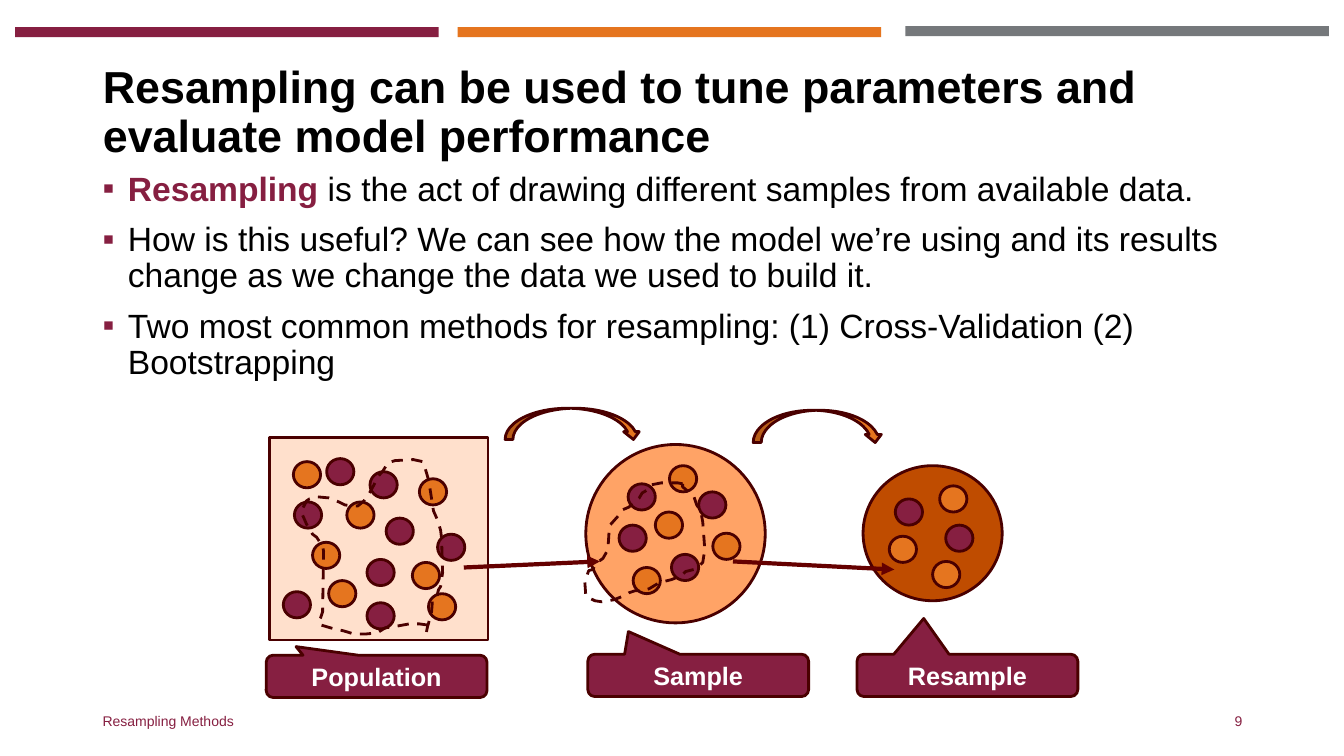
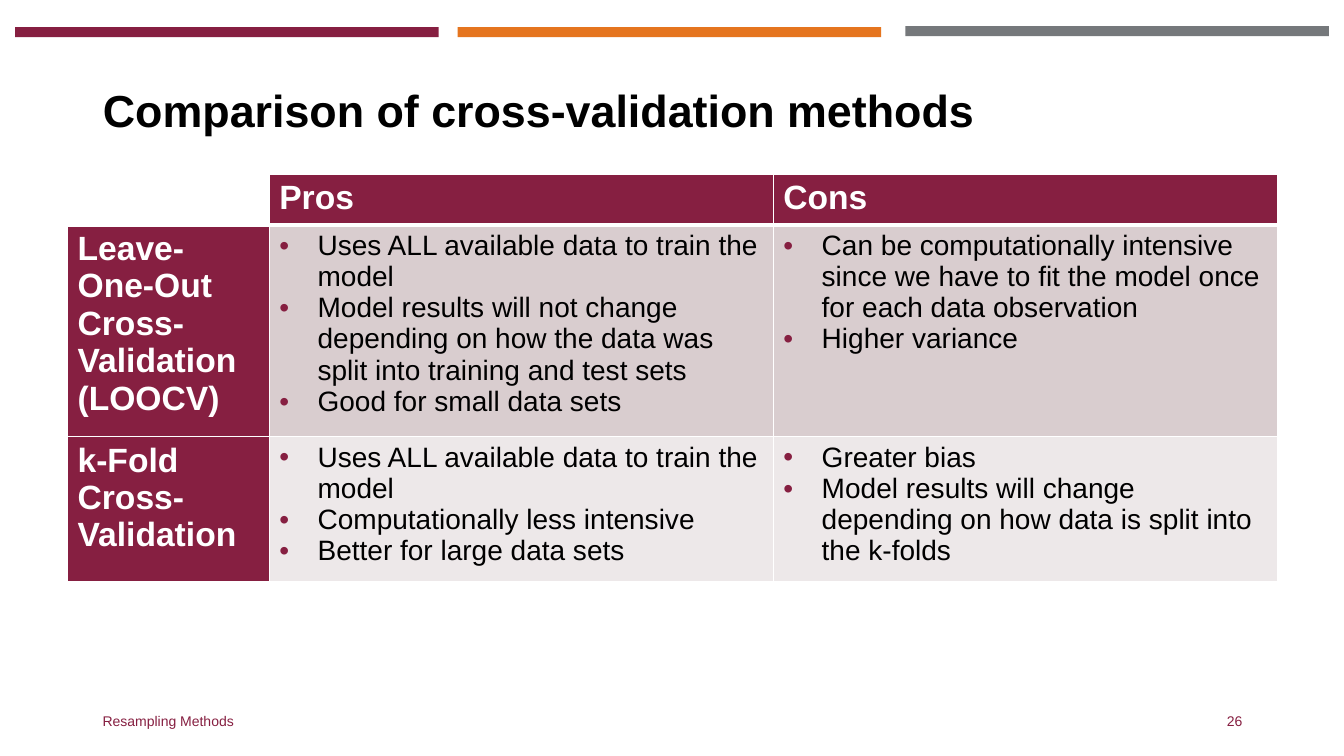
from lxml import etree
from pptx import Presentation
from pptx.dml.color import RGBColor
from pptx.enum.dml import MSO_LINE
from pptx.enum.shapes import MSO_CONNECTOR as CONNECTOR, MSO_SHAPE as SHAPE
from pptx.enum.text import MSO_ANCHOR as ANCHOR, MSO_AUTO_SIZE as AUTO_SIZE, PP_ALIGN as ALIGN
from pptx.oxml.ns import qn
from pptx.util import Inches, Pt

COLORS = {
    "maroon": "861F41", "orange": "E5751F", "gray": "75787B", "outline": "4A0000",
    "arrow": "650000", "peach": "FFE0CC", "apricot": "FFA366", "rust": "BF4C00",
    "band_dark": "D9CDCF", "band_light": "EDE8E9", "black": "000000", "white": "FFFFFF",
}
FONT = "Arial"
FOOTER = "Resampling Methods"
BANDS = [(0.15, 0.27, "maroon"), (4.54, 0.27, "orange"), (8.98, 0.26, "gray")]

# Resampling diagram: dot positions by colour, left and top
DOT_SIZE = (0.27, 0.26)
POPULATION_DOTS = {
    "maroon": [(3.24, 4.55), (3.83, 5.14), (4.34, 5.3), (3.64, 5.55), (3.67, 4.68),
               (2.92, 4.98), (3.64, 5.98), (2.81, 5.87)],
    "orange": [(3.1, 5.38), (4.09, 5.58), (3.44, 4.98), (4.16, 4.75), (2.91, 4.58),
               (3.26, 5.76), (4.25, 5.89)],
}
SAMPLE_DOTS = {
    "maroon": [(6.23, 4.8), (6.14, 5.21), (6.93, 4.88), (6.66, 5.5)],
    "orange": [(6.5, 5.08), (6.28, 5.63), (7.07, 5.29), (6.64, 4.62)],
}
RESAMPLE_DOTS = {
    "maroon": [(8.88, 4.95), (9.38, 5.21)],
    "orange": [(8.82, 5.32), (9.32, 4.82), (9.25, 5.57)],
}
STAGES = [
    (SHAPE.RECTANGLE, (2.67, 4.34, 2.17, 2.01), "peach", POPULATION_DOTS),
    (SHAPE.OVAL, (5.81, 4.41, 1.78, 1.77), "apricot", SAMPLE_DOTS),
    (SHAPE.OVAL, (8.56, 4.62, 1.38, 1.34), "rust", RESAMPLE_DOTS),
]
CALLOUTS = [
    ("Population", 2.64, 6.5, (-0.365, -0.703)),
    ("Sample", 5.83, 6.49, (-0.316, -1.036)),
    ("Resample", 8.5, 6.49, (-0.198, -1.344)),
]
# Dashed outlines of the points that are drawn
POPULATION_DRAW = [
    (4.23, 6.27), (4.24, 6.22), (4.26, 6.15), (4.28, 6.08), (4.29, 5.95), (4.33, 5.93),
    (4.35, 5.85), (4.37, 5.82), (4.39, 5.68), (4.38, 5.34), (4.37, 5.26), (4.34, 5.16),
    (4.3, 5.07), (4.29, 5.01), (4.27, 4.88), (4.25, 4.76), (4.23, 4.69), (4.21, 4.62),
    (4.19, 4.58), (4.1, 4.56), (3.92, 4.57), (3.85, 4.59), (3.8, 4.67), (3.74, 4.74),
    (3.71, 4.81), (3.66, 4.9), (3.61, 4.97), (3.55, 5.02), (3.49, 5.02), (3.42, 5.01),
    (3.36, 4.98), (3.26, 4.94), (3.15, 4.93), (3.07, 4.95), (3.04, 4.97), (3, 5.05),
    (2.99, 5.09), (3.01, 5.13), (3.04, 5.2), (3.1, 5.3), (3.14, 5.33), (3.2, 5.42),
    (3.21, 5.47), (3.2, 6.07), (3.18, 6.13), (3.16, 6.16), (3.18, 6.2), (3.28, 6.23),
    (3.41, 6.26), (3.51, 6.29), (3.63, 6.29), (3.74, 6.28), (3.82, 6.23), (3.95, 6.21),
    (4.06, 6.19), (4.16, 6.19), (4.23, 6.2),
]
SAMPLE_DRAW = [
    (6.77, 4.8), (6.72, 4.79), (6.56, 4.79), (6.46, 4.81), (6.44, 4.85), (6.37, 4.89),
    (6.34, 4.94), (6.28, 4.98), (6.24, 5.03), (6.17, 5.06), (6.13, 5.12), (6.05, 5.21),
    (6.04, 5.29), (6.03, 5.44), (6.02, 5.47), (5.98, 5.54), (5.91, 5.59), (5.88, 5.65),
    (5.84, 5.66), (5.81, 5.74), (5.8, 5.77), (5.81, 5.91), (5.84, 5.93), (5.9, 5.96),
    (5.97, 5.97), (6.09, 5.95), (6.19, 5.91), (6.24, 5.88), (6.3, 5.86), (6.38, 5.86),
    (6.44, 5.84), (6.54, 5.78), (6.66, 5.75), (6.76, 5.71), (6.8, 5.67), (6.88, 5.65),
    (6.93, 5.62), (6.97, 5.58), (6.99, 5.45), (6.97, 5.18), (6.95, 5.07), (6.91, 5.01),
    (6.88, 4.92), (6.83, 4.88), (6.77, 4.83),
]

COMPARISON = [
    ("Leave-One-Out Cross-Validation (LOOCV)", "band_dark",
     ["Uses ALL available data to train the model",
      "Model results will not change depending on how the data was split into training and test sets",
      "Good for small data sets"],
     ["Can be computationally intensive since we have to fit the model once for each data observation",
      "Higher variance"]),
    ("k-Fold Cross-Validation", "band_light",
     ["Uses ALL available data to train the model",
      "Computationally less intensive",
      "Better for large data sets"],
     ["Greater bias",
      "Model results will change depending on how data is split into the k-folds"]),
]


def rgb(name):
    return RGBColor.from_string(COLORS[name])


def inches(values):
    return [Inches(value) for value in values]


def add_color(parent, color):
    etree.SubElement(parent, qn("a:srgbClr"), val=COLORS[color])


class Deck:
    def __init__(self):
        self.deck = Presentation()
        self.deck.slide_width, self.deck.slide_height = inches((13.33, 7.5))
        self.page = None

    def new_page(self, title, number):
        self.page = self.deck.slides.add_slide(self.deck.slide_layouts[5])
        for left, top, color in BANDS:
            self.shape(SHAPE.RECTANGLE, (left, top, 4.2, 0.1), color, None)
        box = self.page.shapes.title
        box.left, box.top, box.width, box.height = inches((0.92, 0.4, 11.5, 1.45))
        frame = box.text_frame
        frame.auto_size = AUTO_SIZE.NONE
        frame.vertical_anchor = ANCHOR.MIDDLE
        para = frame.paragraphs[0]
        para.text = title
        para.line_spacing = 0.9
        self.style(para, 32, "black", True, ALIGN.LEFT)
        self.footer(0.92, 4.5, FOOTER, ALIGN.LEFT)
        self.footer(9.42, 3, str(number), ALIGN.RIGHT)

    def style(self, para, size, color, bold=False, align=ALIGN.LEFT):
        para.alignment = align
        font = para.font
        font.name, font.size, font.bold = FONT, Pt(size), bold
        font.color.rgb = rgb(color)

    def bullet(self, para, mark, indent):
        props = para._p.get_or_add_pPr()
        props.set("marL", str(Inches(indent)))
        props.set("indent", str(-Inches(indent)))
        add_color(etree.SubElement(props, qn("a:buClr")), "maroon")
        etree.SubElement(props, qn("a:buFont"), typeface=FONT)
        etree.SubElement(props, qn("a:buChar"), char=mark)

    def text_box(self, area):
        frame = self.page.shapes.add_textbox(*inches(area)).text_frame
        frame.word_wrap = True
        return frame

    def footer(self, left, width, text, align):
        frame = self.text_box((left, 6.95, width, 0.4))
        frame.vertical_anchor = ANCHOR.MIDDLE
        frame.text = text
        self.style(frame.paragraphs[0], 10, "maroon", align=align)

    def body(self, area, items):
        """Each item is a bold lead (may be empty) and the rest of the text."""
        frame = self.text_box(area)
        for index, (lead, text) in enumerate(items):
            para = frame.add_paragraph() if index else frame.paragraphs[0]
            self.bullet(para, "▪", 0.25)
            para.line_spacing = 0.9
            if index:
                para.space_before = Pt(10)
            self.style(para, 24, "black")
            if lead:
                span = para.add_run()
                span.text = lead
                span.font.bold = True
                span.font.color.rgb = rgb("maroon")
            para.add_run().text = text

    def shape(self, kind, area, fill, line="outline", adjust=()):
        shape = self.page.shapes.add_shape(kind, *inches(area))
        for index, value in enumerate(adjust):
            shape.adjustments[index] = value
        self.paint(shape, fill, line)
        return shape

    def paint(self, shape, fill, line):
        shape.shadow.inherit = False
        if fill:
            shape.fill.solid()
            shape.fill.fore_color.rgb = rgb(fill)
        else:
            shape.fill.background()
        if line:
            shape.line.color.rgb = rgb(line)
            shape.line.width = Pt(2)
        else:
            shape.line.fill.background()

    def callout(self, text, left, top, tip):
        shape = self.shape(SHAPE.ROUNDED_RECTANGULAR_CALLOUT, (left, top, 2.19, 0.42),
                           "maroon", adjust=tip)
        frame = shape.text_frame
        frame.vertical_anchor = ANCHOR.MIDDLE
        frame.text = text
        self.style(frame.paragraphs[0], 18, "white", True, ALIGN.CENTER)

    def arrow(self, start, end):
        line = self.page.shapes.add_connector(CONNECTOR.STRAIGHT, *inches(start + end))
        line.line.color.rgb = rgb("arrow")
        line.line.width = Pt(3)
        etree.SubElement(line.line._get_or_add_ln(), qn("a:tailEnd"), type="triangle")
        etree.SubElement(line._element.spPr, qn("a:effectLst"))

    def dashed_outline(self, points, close):
        first, *rest = [inches(point) for point in points]
        builder = self.page.shapes.build_freeform(*first)
        builder.add_line_segments(rest, close=close)
        shape = builder.convert_to_shape()
        self.paint(shape, None, "outline")
        shape.line.dash_style = MSO_LINE.DASH

    def cell(self, cell, fill, top=1, bottom=1):
        props = cell._tc.get_or_add_tcPr()
        for side, width in (("L", 1), ("R", 1), ("T", top), ("B", bottom)):
            line = etree.SubElement(props, qn("a:ln" + side), w=str(Pt(width)))
            add_color(etree.SubElement(line, qn("a:solidFill")), "white")
        cell.fill.solid()
        cell.fill.fore_color.rgb = rgb(fill)

    def heading_cell(self, cell, text, **borders):
        self.cell(cell, "maroon" if text else "white", **borders)
        if text:
            cell.text = text
            self.style(cell.text_frame.paragraphs[0], 24, "white", True)

    def list_cell(self, cell, items, fill, **borders):
        self.cell(cell, fill, **borders)
        frame = cell.text_frame
        for index, item in enumerate(items):
            para = frame.add_paragraph() if index else frame.paragraphs[0]
            para.text = item
            self.bullet(para, "•", 0.38)
            self.style(para, 20, "black")

    def comparison_table(self, left, top, widths, heights, headings, rows):
        area = (left, top, sum(widths), sum(heights))
        table = self.page.shapes.add_table(len(heights), len(widths), *inches(area)).table
        for column, width in zip(table.columns, widths):
            column.width = Inches(width)
        for row, height in zip(table.rows, heights):
            row.height = Inches(height)
        for column, heading in enumerate(headings):
            self.heading_cell(table.cell(0, column), heading, bottom=3)
        for row, (name, fill, *lists) in enumerate(rows, 1):
            edge = 3 if row == 1 else 1
            self.heading_cell(table.cell(row, 0), name, top=edge)
            for column, items in enumerate(lists, 1):
                self.list_cell(table.cell(row, column), items, fill, top=edge)


def resampling_page(deck):
    deck.new_page("Resampling can be used to tune parameters and evaluate model performance", 9)
    deck.body((0.92, 1.66, 11.5, 2.3), [
        ("Resampling", " is the act of drawing different samples from available data."),
        ("", "How is this useful? We can see how the model we’re using and its results "
             "change as we change the data we used to build it."),
        ("", "Two most common methods for resampling: (1) Cross-Validation (2) Bootstrapping"),
    ])
    # Population, sample and resample with their dots
    for kind, area, fill, dots in STAGES:
        deck.shape(kind, area, fill)
        for color, places in dots.items():
            for place in places:
                deck.shape(SHAPE.OVAL, place + DOT_SIZE, color)
    # Arrows and labels
    for area in ((5.01, 4.05, 1.35, 0.31), (7.47, 4.07, 1.29, 0.32)):
        deck.shape(SHAPE.CURVED_DOWN_ARROW, area, "orange", adjust=(0.25, 0.5, 0.25))
    for callout in CALLOUTS:
        deck.callout(*callout)
    deck.arrow((4.6, 5.63), (5.95, 5.57))
    deck.arrow((7.27, 5.57), (8.87, 5.65))
    deck.dashed_outline(POPULATION_DRAW, close=False)
    deck.dashed_outline(SAMPLE_DRAW, close=True)


def comparison_page(deck):
    deck.new_page("Comparison of cross-validation methods", 26)
    deck.comparison_table(0.67, 1.73, (2, 5, 5), (0.47, 1.96, 1.34),
                          ("", "Pros", "Cons"), COMPARISON)


def main():
    deck = Deck()
    resampling_page(deck)
    comparison_page(deck)
    deck.deck.save("out.pptx")


if __name__ == "__main__":
    main()
